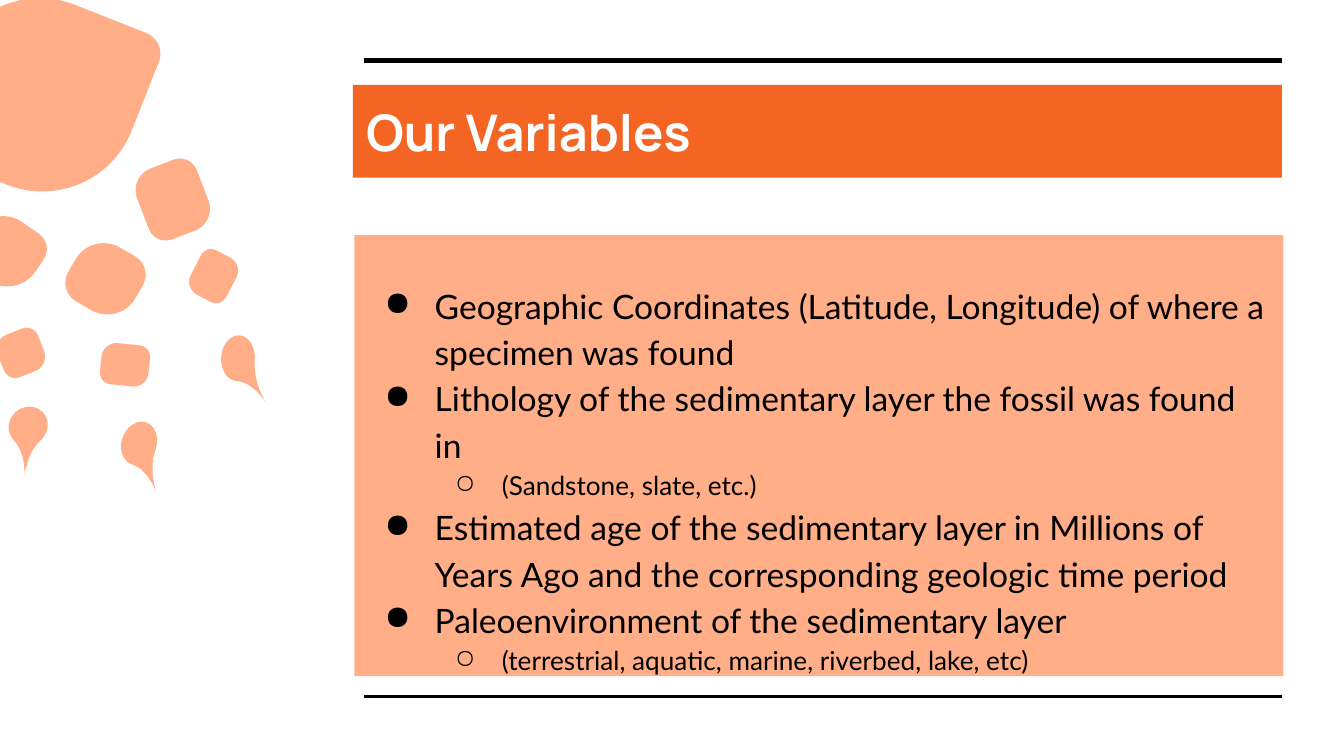
"""Build the "Our Variables" slide with its footprint of rounded stones."""
from lxml.etree import SubElement
from pptx import Presentation
from pptx.dml.color import RGBColor
from pptx.enum.shapes import MSO_CONNECTOR as Line, MSO_SHAPE as Kind
from pptx.enum.text import MSO_ANCHOR as Anchor, PP_ALIGN as Align
from pptx.oxml.ns import qn
from pptx.util import Pt

BLACK = RGBColor(0x00, 0x00, 0x00)
WHITE = RGBColor(0xFF, 0xFF, 0xFF)
ORANGE = RGBColor(0xF4, 0x65, 0x24)
PEACH = RGBColor(0xFF, 0xAE, 0x88)

TITLE = "Our Variables"
ITEMS = [
    (0, "Geographic Coordinates (Latitude, Longitude) of where a specimen was found"),
    (0, "Lithology of the sedimentary layer the fossil was found in"),
    (1, "(Sandstone, slate, etc.)"),
    (0, "Estimated age of the sedimentary layer in Millions of Years Ago "
        "and the corresponding geologic time period"),
    (0, "Paleoenvironment of the sedimentary layer"),
    (1, "(terrestrial, aquatic, marine, riverbed, lake, etc)"),
]
LEVELS = [("●", 18, 36, 27), ("○", 14, 72, 25.2)]

RULES = [(32.4, 3), (373, 1.5)]
LEFT, RIGHT = 195.2, 686.9

STONE, DROP = Kind.ROUND_2_DIAG_RECTANGLE, Kind.TEAR
SOFT, TAIL = (0.355, 0.274), (1.8,)
MARKS = [
    (STONE, (37.4, 131, 38.2, 36.7), 210, (0.473, 0.31)),
    (DROP, (115.2, 182.9, 24.5, 18), 94.1, TAIL),
    (STONE, (-0.7, 177.1, 23.8, 23.8), 159, SOFT),
    (STONE, (101.5, 136.8, 25.9, 22.3), 117.5, SOFT),
    (STONE, (-16.6, 116.6, 38.9, 36), 214.7, (0.5, 0.279)),
    (STONE, (74.9, 87.1, 35.3, 39.6), 159, SOFT),
    (STONE, (-30.2, -0.7, 104.4, 103), 201.6, (0.5, 0.116)),
    (DROP, (62.6, 228.2, 23.8, 18.7), 108.7, TAIL),
    (DROP, (4.3, 218.2, 21.6, 20.2), 137.2, TAIL),
    (STONE, (54, 184.3, 25.9, 22.3), 185.9, SOFT),
]


def add_rule(slide, y, width):
    rule = slide.shapes.add_connector(
        Line.STRAIGHT, Pt(LEFT), Pt(y), Pt(RIGHT), Pt(y))
    rule.line.color.rgb = BLACK
    rule.line.width = Pt(width)
    SubElement(rule._element.spPr, qn("a:effectLst"))


def add_form(slide, kind, box, fill):
    form = slide.shapes.add_shape(kind, *map(Pt, box))
    form.shadow.inherit = False
    form.fill.solid()
    form.fill.fore_color.rgb = fill
    form.line.fill.background()
    return form


def add_panel(slide, box, fill, anchor, top=7.2):
    frame = add_form(slide, Kind.RECTANGLE, box, fill).text_frame
    frame.word_wrap = True
    frame.vertical_anchor = anchor
    frame.margin_left = frame.margin_right = frame.margin_bottom = Pt(7.2)
    frame.margin_top = Pt(top)
    return frame


def set_font(para, name, size, color, bold=False):
    para.alignment = Align.LEFT
    font = para.font
    font.name, font.size, font.bold = name, Pt(size), bold
    font.color.rgb = color


def add_bullet(para, sign, left, hang):
    props = para._p.get_or_add_pPr()
    props.set("marL", str(Pt(left)))
    props.set("indent", str(-Pt(hang)))
    color = SubElement(props, qn("a:buClr"))
    SubElement(color, qn("a:srgbClr"), val=str(BLACK))
    SubElement(props, qn("a:buChar"), char=sign)


def main():
    deck = Presentation()
    deck.slide_width, deck.slide_height = Pt(720), Pt(405)
    slide = deck.slides.add_slide(deck.slide_layouts[6])

    for y, width in RULES:
        add_rule(slide, y, width)

    title = add_panel(slide, (189, 45.4, 497.8, 49.8), ORANGE, Anchor.MIDDLE)
    title.text = TITLE
    set_font(title.paragraphs[0], "Manrope", 27, WHITE, True)

    body = add_panel(slide, (189.8, 126, 497.8, 236.2), PEACH, Anchor.TOP, 23.8)
    body.text = "\n".join(text for _, text in ITEMS)
    for para, (level, _) in zip(body.paragraphs, ITEMS):
        sign, size, left, hang = LEVELS[level]
        para.level = level
        para.line_spacing = 1.15
        add_bullet(para, sign, left, hang)
        set_font(para, "Lato", size, BLACK)

    for kind, box, turn, bends in MARKS:
        mark = add_form(slide, kind, box, PEACH)
        mark.rotation = turn
        for i, bend in enumerate(bends):
            mark.adjustments[i] = bend

    deck.save("out.pptx")


if __name__ == "__main__":
    main()
